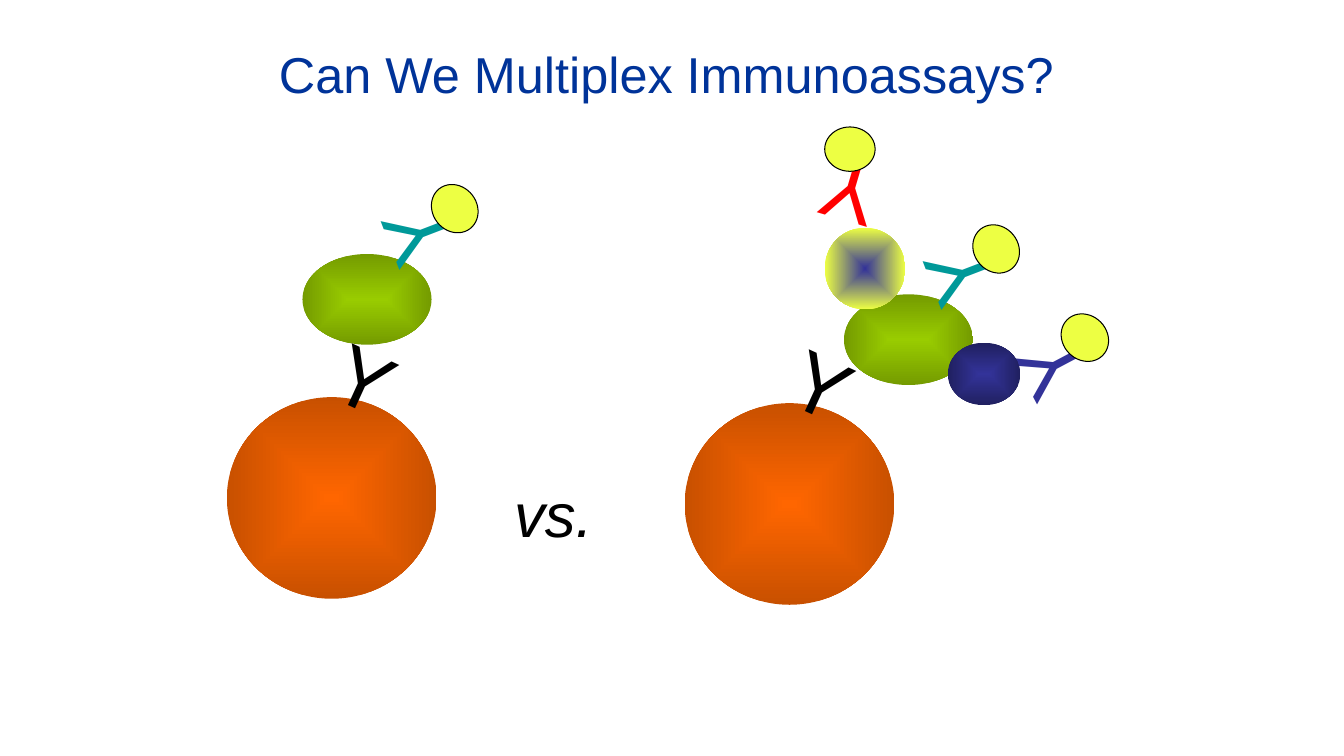
import pptx
import pptx.util
import pptx.dml.color
import pptx.enum.shapes
import pptx.enum.text
import pptx.oxml
from pptx.oxml.ns import nsdecls
from pptx.util import Inches

COLORS = {
    "title": "003399", "black": "000000", "label": "EDFF43",
    "bead": "FF6600", "bead_edge": "C85000",
    "antigen": "99CC00", "antigen_edge": "749B00",
    "navy": "333399", "navy_edge": "202060",
    "red": "FF0000", "teal": "009999",
}


def rgb(name):
    return pptx.dml.color.RGBColor.from_string(COLORS[name])


def add_ellipse(shapes, left, top, width, height):
    ellipse = shapes.add_shape(pptx.enum.shapes.MSO_SHAPE.OVAL, Inches(left),
                               Inches(top), Inches(width), Inches(height))
    ellipse.shadow.inherit = False
    return ellipse


def add_particle(shapes, left, top, width, height, center, edge):
    """Borderless ellipse shaded from its center to its edge."""
    particle = add_ellipse(shapes, left, top, width, height)
    particle.line.fill.background()
    gradient = pptx.oxml.parse_xml(
        f'<a:gradFill {nsdecls("a")} rotWithShape="1"><a:gsLst>'
        f'<a:gs pos="0"><a:srgbClr val="{COLORS[center]}"/></a:gs>'
        f'<a:gs pos="100000"><a:srgbClr val="{COLORS[edge]}"/></a:gs>'
        '</a:gsLst><a:path path="shape">'
        '<a:fillToRect l="50000" t="50000" r="50000" b="50000"/>'
        '</a:path></a:gradFill>')
    particle._element.spPr.find(pptx.oxml.ns.qn("a:prstGeom")).addnext(gradient)


def add_label(shapes, left, top, rotation=0):
    label = add_ellipse(shapes, left, top, 0.5, 0.44)
    label.rotation = rotation
    label.fill.solid()
    label.fill.fore_color.rgb = rgb("label")
    label.line.color.rgb = rgb("black")
    label.line.width = pptx.util.Pt(0.75)


def format_text(frame, text, size, color, italic=None):
    frame.text = text
    frame.word_wrap = False
    font = frame.paragraphs[0].runs[0].font
    font.name = "Arial"
    font.size = pptx.util.Pt(size)
    font.italic = italic
    font.color.rgb = rgb(color)


def add_text(shapes, left, top, width, height, text, size, color, italic=None):
    box = shapes.add_textbox(Inches(left), Inches(top), Inches(width), Inches(height))
    format_text(box.text_frame, text, size, color, italic)
    box.text_frame.auto_size = pptx.enum.text.MSO_AUTO_SIZE.SHAPE_TO_FIT_TEXT
    return box


def add_antibody(shapes, left, top, rotation, color):
    antibody = add_text(shapes, left, top, 0.76, 1.1, "Y", 60, color)
    antibody.rotation = rotation


def add_bead(shapes, left, top):
    """Bead carrying its capture antibody."""
    add_particle(shapes, left, top, 2.08, 2, "bead", "bead_edge")
    add_antibody(shapes, left + 1, top - 0.75, 24.6, "black")


def add_antigen(shapes, left, top):
    add_particle(shapes, left, top, 1.28, 0.9, "antigen", "antigen_edge")


def add_antigen_detection(shapes, left, top):
    """Teal antibody and label, placed from the antigen's corner."""
    add_antibody(shapes, left + 0.72, top - 0.72, 249, "teal")
    add_label(shapes, left + 1.26, top - 0.67, 52.6)


def add_title(slide, text):
    title = slide.shapes.title
    title.left, title.top = Inches(2.66), Inches(0.38)
    title.width, title.height = Inches(7.9), Inches(0.7)
    format_text(title.text_frame, text, 36, "title")
    title.text_frame.auto_size = pptx.enum.text.MSO_AUTO_SIZE.NONE
    title.text_frame.vertical_anchor = pptx.enum.text.MSO_ANCHOR.TOP
    title.text_frame.paragraphs[0].alignment = pptx.enum.text.PP_ALIGN.CENTER


def add_multiplex_assay(slide):
    assay = slide.shapes.add_group_shape().shapes
    add_bead(assay, 6.79, 4)
    add_antigen(assay, 8.37, 2.92)
    # Detection antibodies and labels
    add_antibody(assay, 8.04, 1.4, 196.4, "red")
    add_label(assay, 8.18, 1.26)
    add_antibody(assay, 10, 3.12, 242.1, "navy")
    add_label(assay, 10.51, 3.13, 45.7)
    add_antigen_detection(assay, 8.37, 2.92)
    # Proteins bound to the antigen
    add_particle(assay, 8.18, 2.26, 0.8, 0.81, "navy", "label")
    add_particle(assay, 9.4, 3.4, 0.72, 0.62, "navy", "navy_edge")


def add_single_assay(slide):
    assay = slide.shapes.add_group_shape().shapes
    add_antigen(assay, 3, 2.52)
    add_antigen_detection(assay, 3, 2.52)
    add_bead(assay, 2.25, 3.94)


def main():
    deck = pptx.Presentation()
    deck.slide_width, deck.slide_height = Inches(13.33), Inches(7.5)
    slide = deck.slides.add_slide(deck.slide_layouts[5])
    add_title(slide, "Can We Multiplex Immunoassays?")
    add_multiplex_assay(slide)
    add_single_assay(slide)
    add_text(slide.shapes, 5, 4.67, 0.98, 0.83, "vs.", 44, "black", italic=True)
    deck.save("out.pptx")


if __name__ == "__main__":
    main()
